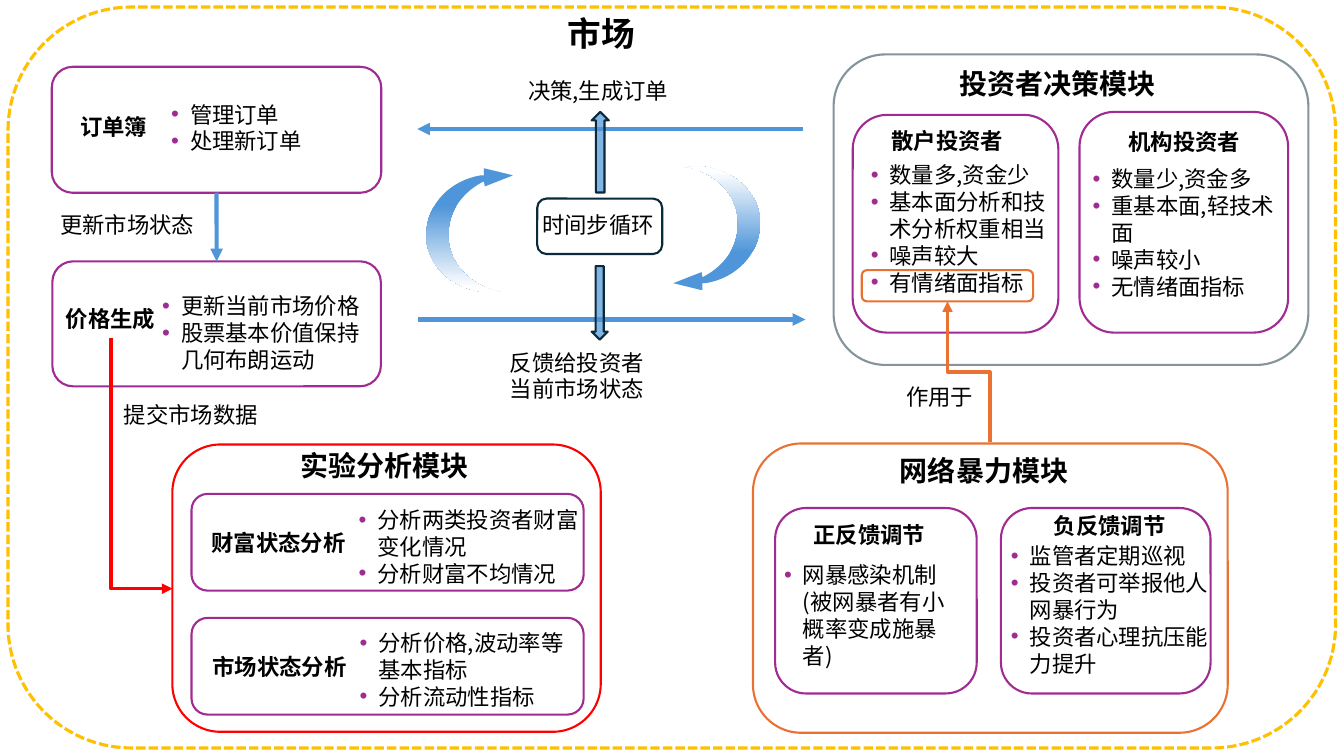
from dataclasses import dataclass

from lxml import etree
from pptx import Presentation
from pptx.dml.color import RGBColor
from pptx.enum.dml import MSO_LINE
from pptx.enum.shapes import MSO_CONNECTOR, MSO_SHAPE
from pptx.enum.text import MSO_ANCHOR, MSO_AUTO_SIZE, PP_ALIGN
from pptx.oxml.ns import qn
from pptx.util import Pt

ROUND, UP, DOWN = MSO_SHAPE.ROUNDED_RECTANGLE, MSO_SHAPE.UP_ARROW, MSO_SHAPE.DOWN_ARROW
STRAIGHT, ELBOW = MSO_CONNECTOR.STRAIGHT, MSO_CONNECTOR.ELBOW
LEFT, CENTER = PP_ALIGN.LEFT, PP_ALIGN.CENTER
TOP, FIXED, DASH = MSO_ANCHOR.TOP, MSO_AUTO_SIZE.NONE, MSO_LINE.SQUARE_DOT
FONT = "Noto Sans CJK SC"
PURPLE, ORANGE, RED, GOLD = "A02B93", "E97132", "FF0000", "FFC000"
BLUE, NAVY, BLACK, WHITE = "4E95D9", "092A39", "000000", "FFFFFF"
INDENT = 13.5


@dataclass
class Box:
    place: tuple[float, float, float, float]
    color: str = PURPLE
    width: float = 1.5
    kind: int = ROUND
    fill: str = ""


@dataclass
class Note:
    place: tuple[float, float, float, float]
    lines: list[str]
    size: int = 16
    bold: bool = False
    align: int = LEFT
    bullet: bool = False


@dataclass
class Link:
    start: tuple[float, float]
    end: tuple[float, float]
    color: str = BLUE
    width: float = 3
    bend: str = ""


def head(x: float, y: float, w: float, h: float, text: str) -> Note:
    return Note((x, y, w, h), [text], bold=True, align=CENTER)


def name(x: float, y: float, w: float, h: float, text: str) -> Note:
    return Note((x, y, w, h), [text], size=20, bold=True)


def points(x: float, y: float, w: float, h: float, *lines: str) -> Note:
    return Note((x, y, w, h), list(lines), bullet=True)


def rgb(code: str) -> RGBColor:
    return RGBColor.from_string(code)


def add(root, tag: str, **attrs):
    return etree.SubElement(root, qn(tag), attrs)


def fade(root, share: int) -> None:
    add(next(root.iter(qn("a:srgbClr"))), "a:alpha", val=str(share * 1000))


def draw_box(box: Box):
    shape = slide.shapes.add_shape(box.kind, *map(Pt, box.place))
    shape.shadow.inherit = False
    if box.fill:
        shape.fill.solid()
        shape.fill.fore_color.rgb = rgb(box.fill)
        fade(shape._element.spPr.find(qn("a:solidFill")), 70)
    else:
        shape.fill.background()
    shape.line.color.rgb = rgb(box.color)
    shape.line.width = Pt(box.width)
    return shape


def write(shape, note: Note) -> None:
    frame = shape.text_frame
    frame.word_wrap, frame.auto_size, frame.vertical_anchor = True, FIXED, TOP
    frame.text = "\n".join(note.lines)
    for para in frame.paragraphs:
        para.alignment = note.align
        para.line_spacing = Pt(note.size * 1.2)
        font = para.font
        font.name, font.size, font.bold = FONT, Pt(note.size), note.bold
        font.color.rgb = rgb(BLACK)
        props = para._p.get_or_add_pPr()
        base = props.find(qn("a:defRPr"))
        add(base, "a:ea", typeface=FONT)
        if note.bullet:
            props.set("marL", str(Pt(INDENT)))
            props.set("indent", str(-Pt(INDENT)))
            tint = add(props, "a:buClr")
            add(tint, "a:srgbClr", val=PURPLE)
            face = add(props, "a:buFont", typeface="Arial")
            mark = add(props, "a:buChar", char="•")
            for part in (tint, face, mark):
                base.addprevious(part)


def draw_note(note: Note):
    shape = slide.shapes.add_textbox(*map(Pt, note.place))
    write(shape, note)
    return shape


def draw_link(link: Link):
    kind = ELBOW if link.bend else STRAIGHT
    line = slide.shapes.add_connector(kind, *map(Pt, link.start + link.end))
    line.line.color.rgb = rgb(link.color)
    line.line.width = Pt(link.width)
    props = line._element.spPr
    add(line.line._get_or_add_ln(), "a:tailEnd", type="triangle")
    add(props, "a:effectLst")
    if link.bend:
        props.find(qn("a:xfrm")).set("rot", str(270 * 60000))
        props.find(qn("a:prstGeom")).set("prst", link.bend)
    return line


def draw_swirl(spots: list[tuple[float, float]], bends: tuple[int, ...], angle: int) -> None:
    dots = [(Pt(x), Pt(y)) for x, y in spots]
    pen = slide.shapes.build_freeform(*dots[0])
    pen.add_line_segments(dots[1:], close=True)
    shape = pen.convert_to_shape()
    # Each bend joins three segments into one curve
    steps = list(shape._element.iter(qn("a:lnTo")))
    for first in bends:
        arc = etree.Element(qn("a:cubicBezTo"))
        steps[first].addprevious(arc)
        for step in steps[first:first + 3]:
            arc.append(step[0])
            step.getparent().remove(step)
    shape.shadow.inherit = False
    shape.line.fill.background()
    shape.fill.gradient()
    shape.fill.gradient_angle = angle
    for stop, spot, tone in zip(shape.fill.gradient_stops, (0.3, 0.96), (BLUE, WHITE)):
        stop.position = spot
        stop.color.rgb = rgb(tone)


deck = Presentation()
deck.slide_width, deck.slide_height = Pt(960), Pt(540)
slide = deck.slides.add_slide(deck.slide_layouts[5])
DRAW = {Box: draw_box, Note: draw_note, Link: draw_link}

# Title
topic = Note((398.2, 5.8, 63.4, 36), ["市场"], size=24, bold=True)
title = slide.shapes.title
title.left, title.top, title.width, title.height = map(Pt, topic.place)
write(title, topic)

# Right-hand modules
violence = [
    Box((537.84, 316.8, 339.12, 206.64), ORANGE),
    name(635.76, 320.4, 152.64, 33.12, "网络暴力模块"),
    Box((553.68, 362.88, 144, 132.48)),
    head(558, 368.64, 126, 48.96, "正反馈调节"),
    points(552.96, 397.44, 140.4, 65.52, "网暴感染机制(被网暴者有小概率变成施暴者)"),
    Box((714.96, 362.88, 149.76, 132.48)),
    head(725.04, 362.16, 135.36, 48.96, "负反馈调节"),
    points(714.96, 383.76, 162, 110.16, "监管者定期巡视", "投资者可举报他人网暴行为",
           "投资者心理抗压能力提升"),
]
for part in violence:
    DRAW[type(part)](part)
decide = draw_box(Box((595.44, 38.88, 339.12, 221.76), NAVY))
fade(decide.line._get_or_add_ln(), 50)
investors = [
    name(678.24, 43.92, 186.48, 31.68, "投资者决策模块"),
    Box((609.12, 82.08, 146.88, 155.52)),
    head(609.12, 87.12, 135.36, 61.92, "散户投资者"),
    points(614.88, 111.6, 149.76, 129.6, "数量多,资金少", "基本面分析和技术分析权重相当",
           "噪声较大", "有情绪面指标"),
    Box((771.12, 79.92, 149.04, 157.68)),
    head(778.32, 87.84, 135.36, 61.92, "机构投资者"),
    points(773.28, 114.48, 151.92, 100.08, "数量少,资金多", "重基本面,轻技术面",
           "噪声较小", "无情绪面指标"),
    Link((573.84, 92.16), (298.08, 92.16)),
    Note((370.08, 51.84, 119.52, 26.64), ["决策,生成订单"]),
]
for part in investors:
    DRAW[type(part)](part)

# Order book and price
order = draw_box(Box((37, 47.7, 235.4, 90)))
draw_note(head(25.92, 77.04, 110.88, 34.56, "订单簿"))
draw_note(points(115.2, 68.4, 144, 59.76, "管理订单", "处理新订单"))
draw_note(Note((36, 147, 113.76, 26.64), ["更新市场状态"]))
price = draw_box(Box((37.4, 186.7, 234.7, 89.3)))
update = draw_link(Link((154.7, 137.7), (154.7, 186.7)))
update.begin_connect(order, 2)
update.end_connect(price, 0)

# Price, analysis and time loop
rest = [
    head(36, 214.56, 85.68, 26.64, "价格生成"),
    points(108.72, 205.2, 159.12, 58.32, "更新当前市场价格", "股票基本价值保持几何布朗运动"),
    Link((298.8, 228.24), (575.28, 228.24)),
    Note((357.12, 245.52, 116.64, 46.08), ["反馈给投资者当前市场状态"]),
    Box((615.6, 192.96, 122.4, 22.32), ORANGE),
    Box((123.12, 317.52, 306, 205.2), RED),
    name(207.36, 316.8, 180.72, 31.68, "实验分析模块"),
    Box((136.8, 352.8, 280.08, 69.12)),
    head(140.4, 374.4, 117.36, 26.64, "财富状态分析"),
    points(249.12, 357.84, 186.48, 84.96, "分析两类投资者财富变化情况", "分析财富不均情况"),
    Box((136.8, 441.36, 280.08, 69.12)),
    head(141.12, 462.96, 117.36, 26.64, "市场状态分析"),
    points(249.84, 445.68, 167.76, 65.52, "分析价格,波动率等基本指标", "分析流动性指标"),
    Note((640.08, 270, 66.96, 26.64), ["作用于"]),
    Link((190.8, 308.88), (11.52, 352.8), RED, 2.5, "bentConnector2"),
    Note((81.36, 282.96, 111.6, 26.64), ["提交市场数据"]),
    Box((383.76, 141.84, 89.28, 39.6), NAVY),
    Note((380.16, 147.6, 95.04, 29.52), ["时间步循环"]),
    Box((422.64, 79.92, 12.24, 57.6), NAVY, kind=UP, fill=BLUE),
    Box((422.64, 190.08, 11.52, 52.56), NAVY, kind=DOWN, fill=BLUE),
]
for part in rest:
    DRAW[type(part)](part)

# Loop arrows
swirl = [(345.6, 120.2), (366.5, 125.3), (346.3, 133.2), (345.6, 129.6), (344.2, 130.3),
         (330.5, 137.5), (320.4, 151.2), (320.4, 166.3),
         (319, 186.5), (334.8, 203.8), (355.7, 208.1), (357.8, 208.1), (349.9, 208.8),
         (324, 208.1), (303.1, 189.4), (304.6, 166.3),
         (305.3, 145.4), (321.8, 128.9), (343.4, 125.3), (345.6, 125.3)]
bends = (4, 7, 12, 15)
draw_swirl([(847.4 - x, 327.6 - y) for x, y in swirl], bends, 90)
draw_swirl(swirl, bends, 270)

# Feedback link and market border
draw_link(Link((641.5, 280.8), (742.3, 250.6), ORANGE, 2.5, "bentConnector3"))
border = draw_box(Box((5.76, 5.04, 948.24, 529.2), GOLD, 2.25))
border.line.dash_style = DASH

deck.save("out.pptx")
